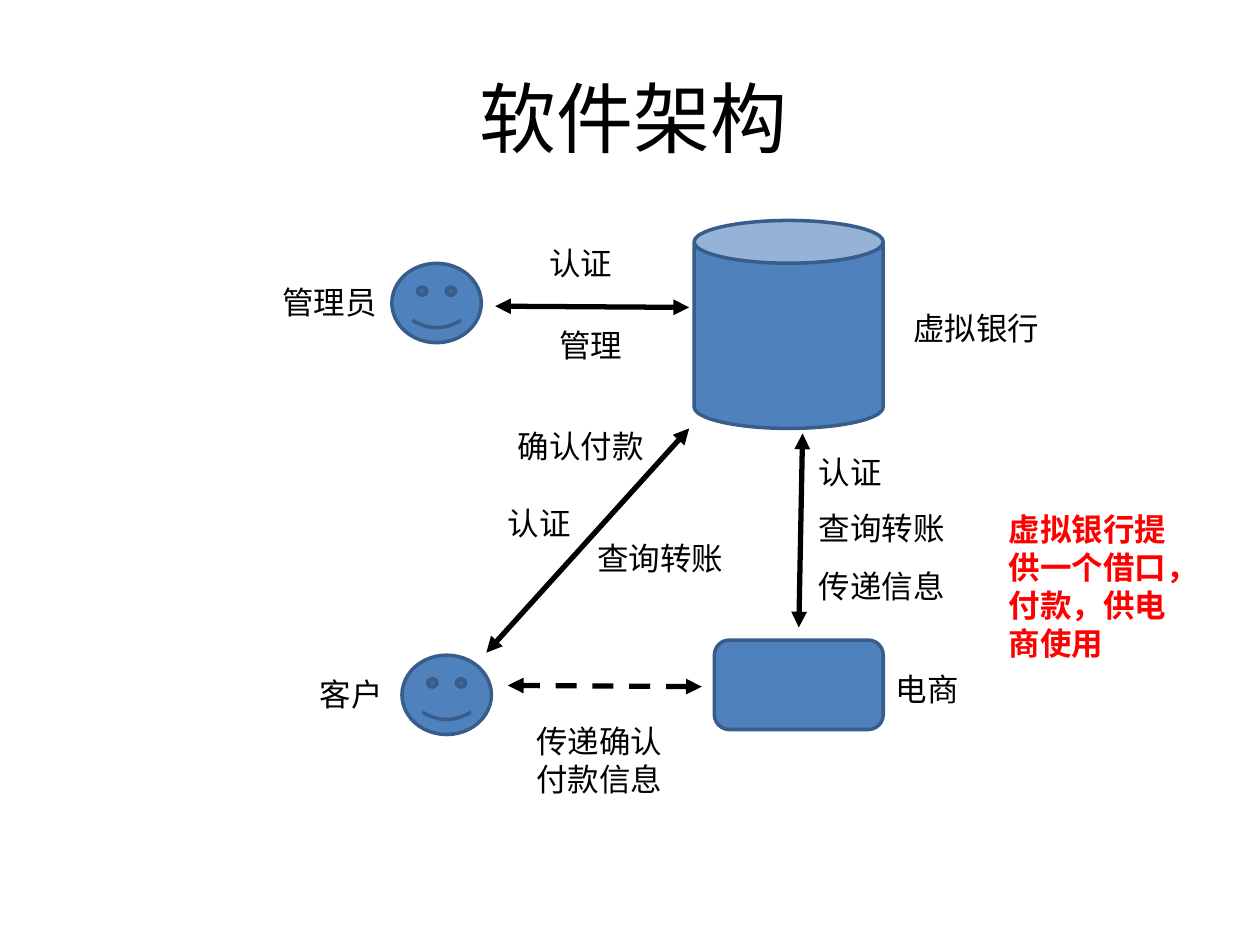
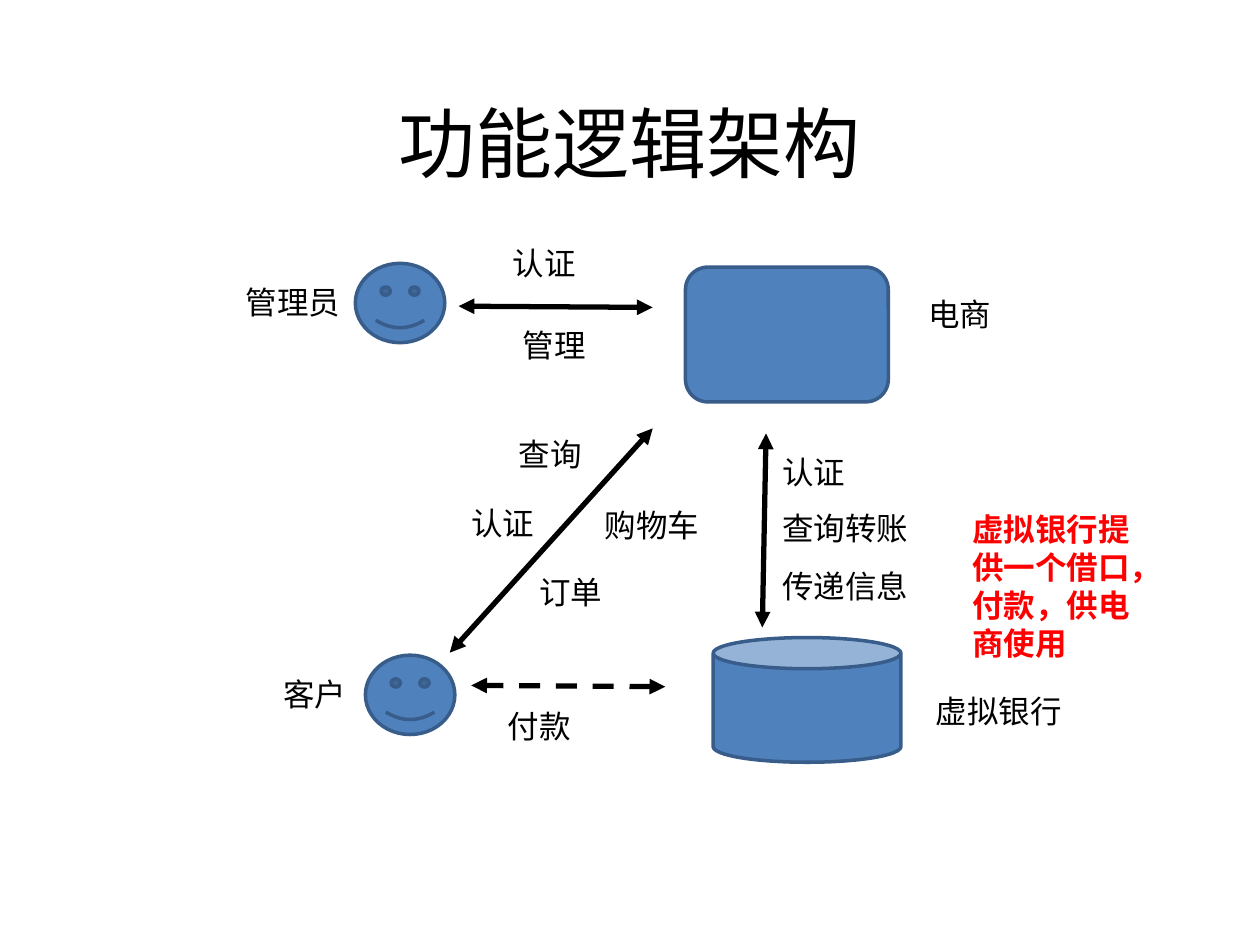
from lxml import etree
from pptx import Presentation
from pptx import util as u
from pptx.dml.color import RGBColor
from pptx.enum import dml, lang, shapes, text
from pptx.oxml import ns

BLUE = RGBColor(0x4F, 0x81, 0xBD)
NAVY = RGBColor(0x38, 0x5D, 0x8A)
BLACK = RGBColor(0, 0, 0)
RED = RGBColor(0xFF, 0, 0)
COLUMNS, ROWS = 100, 75
FONT = "Calibri"
SHIFT = -2.9

SMILEY = shapes.MSO_SHAPE.SMILEY_FACE
CAN = shapes.MSO_SHAPE.CAN
ROUNDED = shapes.MSO_SHAPE.ROUNDED_RECTANGLE


def assign(target, values):
    for name, value in values.items():
        setattr(target, name, value)


class Diagram:
    def __init__(self):
        self.deck = Presentation()
        assign(self.deck, {"slide_width": u.Inches(10), "slide_height": u.Inches(7.5)})
        self.page = None
        self.shift = 0

    def start(self, shift=0):
        self.page = self.deck.slides.add_slide(self.deck.slide_layouts[6])
        self.shift = shift

    def x(self, columns):
        return round(self.deck.slide_width * columns / COLUMNS)

    def y(self, rows):
        return round(self.deck.slide_height * rows / ROWS)

    def area(self, left, top, width, height):
        return self.x(left), self.y(top), self.x(width), self.y(height)

    def text_box(self, words, left, top, width, height=4, size=18, color=BLACK, bold=False,
                 align=text.PP_ALIGN.LEFT, anchor=text.MSO_ANCHOR.TOP):
        box = self.page.shapes.add_textbox(*self.area(left, top, width, height))
        assign(box.text_frame, {"word_wrap": True, "vertical_anchor": anchor})
        para = box.text_frame.paragraphs[0]
        para.alignment = align
        span = para.add_run()
        span.text = words
        assign(span.font, {"name": FONT, "size": u.Pt(size), "bold": bold,
                           "language_id": lang.MSO_LANGUAGE_ID.SIMPLIFIED_CHINESE})
        span.font.color.rgb = color

    def title(self, words, left, top):
        self.text_box(words, left, top, 90, 12.5, size=44,
                      align=text.PP_ALIGN.CENTER, anchor=text.MSO_ANCHOR.MIDDLE)

    def label(self, words, left, top, width, height=4, **style):
        self.text_box(words, left + self.shift, top, width, height, **style)

    def node(self, kind, left, top, width, height, adjust=None):
        shape = self.page.shapes.add_shape(kind, *self.area(left + self.shift, top, width, height))
        shape.shadow.inherit = False
        shape.fill.solid()
        shape.fill.fore_color.rgb = BLUE
        shape.line.color.rgb = NAVY
        shape.line.width = u.Pt(2)
        if adjust is not None:
            shape.adjustments[0] = adjust

    def arrow(self, start, end, dashed=False):
        ends = [place for column, row in (start, end)
                for place in (self.x(column + self.shift), self.y(row))]
        wire = self.page.shapes.add_connector(shapes.MSO_CONNECTOR.STRAIGHT, *ends)
        wire.line.color.rgb = BLACK
        wire.line.width = u.Pt(3)
        if dashed:
            wire.line.dash_style = dml.MSO_LINE.DASH
        outline = wire.get_or_add_ln()
        for tip in ("a:headEnd", "a:tailEnd"):
            etree.SubElement(outline, ns.qn(tip), type="triangle")
        etree.SubElement(outline.getparent(), ns.qn("a:effectLst"))

    def actors_and_flows(self):
        self.node(SMILEY, 31.1, 20.9, 7.1, 6.3)
        self.node(SMILEY, 31.9, 52, 7.1, 6.3)
        self.label("管理员", 21.4, 22, 10.9)
        self.label("客户", 24.4, 53.1, 7.9)
        self.arrow((54.7, 34), (38.6, 51.8))
        self.arrow((54.7, 24.4), (39.3, 24.3))
        self.arrow((63.7, 34.4), (63.4, 49.8))
        self.arrow((55.7, 54.5), (40.3, 54.4), dashed=True)
        self.label("认证", 42.6, 18.9, 7.7)
        self.label("管理", 43.4, 25.4, 8.2)
        self.label("认证", 39.3, 39.5, 7.7)
        for words, top in (("认证", 35.5), ("查询转账", 39.9), ("传递信息", 44.5)):
            self.label(words, 64, top, 12.6)
        self.label("虚拟银行提供一个借口，付款，供电商使用", 79.1, 40, 15, 13, color=RED, bold=True)


def software_architecture(diagram):
    diagram.start()
    diagram.title("软件架构", 5.3, 3)
    diagram.node(CAN, 55.1, 17.5, 15, 16.5, 0.226)
    diagram.node(ROUNDED, 56.7, 50.8, 13.4, 7.1)
    diagram.actors_and_flows()
    diagram.label("虚拟银行", 71.5, 24, 12.4)
    diagram.label("电商", 70.1, 52.7, 7.1)
    diagram.label("确认付款", 40.1, 33.4, 12.6)
    diagram.label("查询转账", 46.4, 42.3, 12.6)
    diagram.label("传递确认付款信息", 41.6, 56.8, 12.6, 7)


def logical_architecture(diagram):
    diagram.start(SHIFT)
    diagram.title("功能逻辑架构", 5, 5)
    diagram.node(CAN, 59.5, 50.6, 14.9, 9.9, 0.25)
    diagram.node(ROUNDED, 57.3, 21.2, 16.1, 10.7)
    diagram.actors_and_flows()
    diagram.label("虚拟银行", 76.2, 54.4, 12.4)
    diagram.label("电商", 75.6, 22.9, 7.1)
    for words, left, top in (("查询", 43.1, 34), ("购物车", 49.9, 39.7),
                             ("订单", 44.7, 45), ("付款", 42.2, 55.6)):
        diagram.label(words, left, top, 12.6)


def main():
    diagram = Diagram()
    software_architecture(diagram)
    logical_architecture(diagram)
    diagram.deck.save("out.pptx")


if __name__ == "__main__":
    main()
